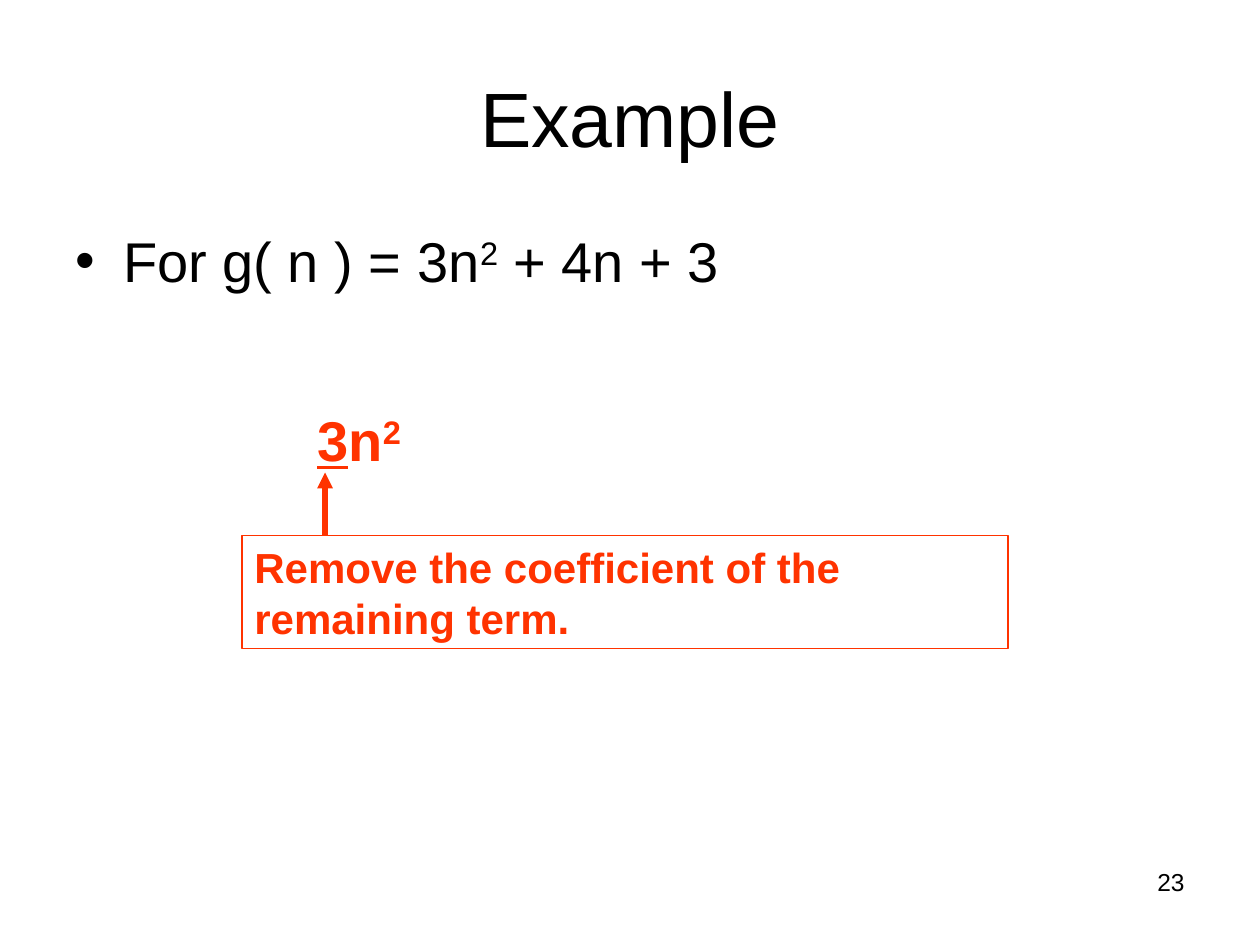
from lxml.etree import SubElement
from pptx import Presentation
from pptx.dml.color import RGBColor
from pptx.enum.shapes import MSO_CONNECTOR, MSO_SHAPE
from pptx.enum.text import MSO_ANCHOR, PP_ALIGN
from pptx.oxml.ns import qn
from pptx.util import Inches, Pt

BLACK = RGBColor(0, 0, 0)
ORANGE = RGBColor(0xFF, 0x33, 0x00)


class SlideBuilder:
    font_name = "Arial"

    def __init__(self, deck):
        self.page = deck.slides.add_slide(deck.slide_layouts[5])

    def fill_text(self, box, spans, size, color=BLACK, bold=False,
                  align=PP_ALIGN.LEFT, anchor=MSO_ANCHOR.TOP):
        """Fill a box with one paragraph; each span is (text, style)."""
        frame = box.text_frame
        frame.word_wrap = True
        frame.vertical_anchor = anchor
        para = frame.paragraphs[0]
        para.alignment = align
        for text, style in spans:
            span = para.add_run()
            span.text = text
            span.font.name = self.font_name
            span.font.size = Pt(size)
            span.font.bold = bold
            span.font.color.rgb = color
            if style == "underline":
                span.font.underline = True
            elif style == "superscript":
                span._r.get_or_add_rPr().set("baseline", "30000")
        return para

    def title(self, text, left, top, width, height):
        box = self.page.shapes.title
        box.left, box.top = Inches(left), Inches(top)
        box.width, box.height = Inches(width), Inches(height)
        self.fill_text(box, [(text, None)], 44, align=PP_ALIGN.CENTER,
                       anchor=MSO_ANCHOR.MIDDLE)

    def text(self, spans, left, top, width, height, size, **style):
        box = self.page.shapes.add_textbox(
            Inches(left), Inches(top), Inches(width), Inches(height))
        return self.fill_text(box, spans, size, **style)

    def bullet(self, spans, left, top, width, height, size):
        para = self.text(spans, left, top, width, height, size)
        properties = para._p.get_or_add_pPr()
        indent = Inches(0.38)
        properties.set("marL", str(indent))
        properties.set("indent", str(-indent))
        SubElement(properties, qn("a:buFont"), typeface=self.font_name)
        SubElement(properties, qn("a:buChar"), char="•")

    def callout(self, text, left, top, width, height, size):
        box = self.page.shapes.add_shape(
            MSO_SHAPE.RECTANGLE,
            Inches(left), Inches(top), Inches(width), Inches(height))
        box.shadow.inherit = False
        box.fill.background()
        box.line.color.rgb = ORANGE
        box.line.width = Pt(0.75)
        self.fill_text(box, [(text, None)], size, color=ORANGE, bold=True)

    def arrow(self, x, start, end):
        """Draw a vertical arrow with its head at end."""
        arrow = self.page.shapes.add_connector(
            MSO_CONNECTOR.STRAIGHT,
            Inches(x), Inches(start), Inches(x), Inches(end))
        arrow.line.color.rgb = ORANGE
        arrow.line.width = Pt(3)
        SubElement(arrow.line._get_or_add_ln(), qn("a:tailEnd"), type="triangle")
        SubElement(arrow._element.spPr, qn("a:effectLst"))


def main():
    deck = Presentation()
    deck.slide_width, deck.slide_height = Inches(10), Inches(7.5)
    slide = SlideBuilder(deck)
    slide.text([("23", None)], 7.17, 6.83, 2.33, 0.52, 14, align=PP_ALIGN.RIGHT)
    slide.title("Example", 0.5, 0.3, 9, 1.25)
    slide.bullet([("For g( n ) = 3n", None), ("2", "superscript"),
                  (" + 4n + 3", None)], 0.5, 1.75, 9, 4.95, 32)
    slide.text([("3", "underline"), ("n", None), ("2", "superscript")],
               2.42, 3.17, 5.25, 0.64, 32, color=ORANGE, bold=True)
    slide.callout("Remove the coefficient of the remaining term.",
                  1.92, 4.25, 6.08, 0.9, 24)
    slide.arrow(2.58, 4.25, 3.75)
    deck.save("out.pptx")


if __name__ == "__main__":
    main()
